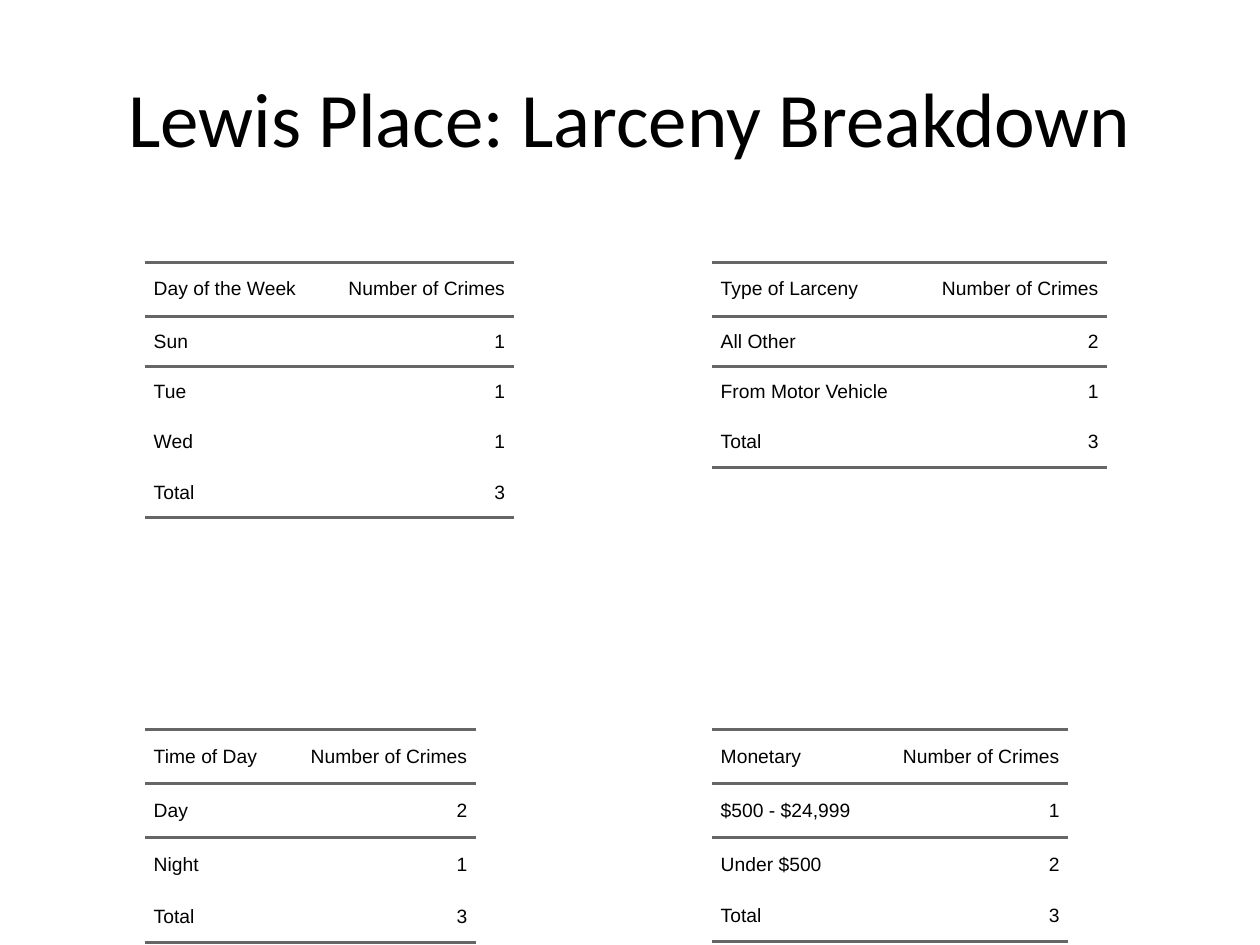
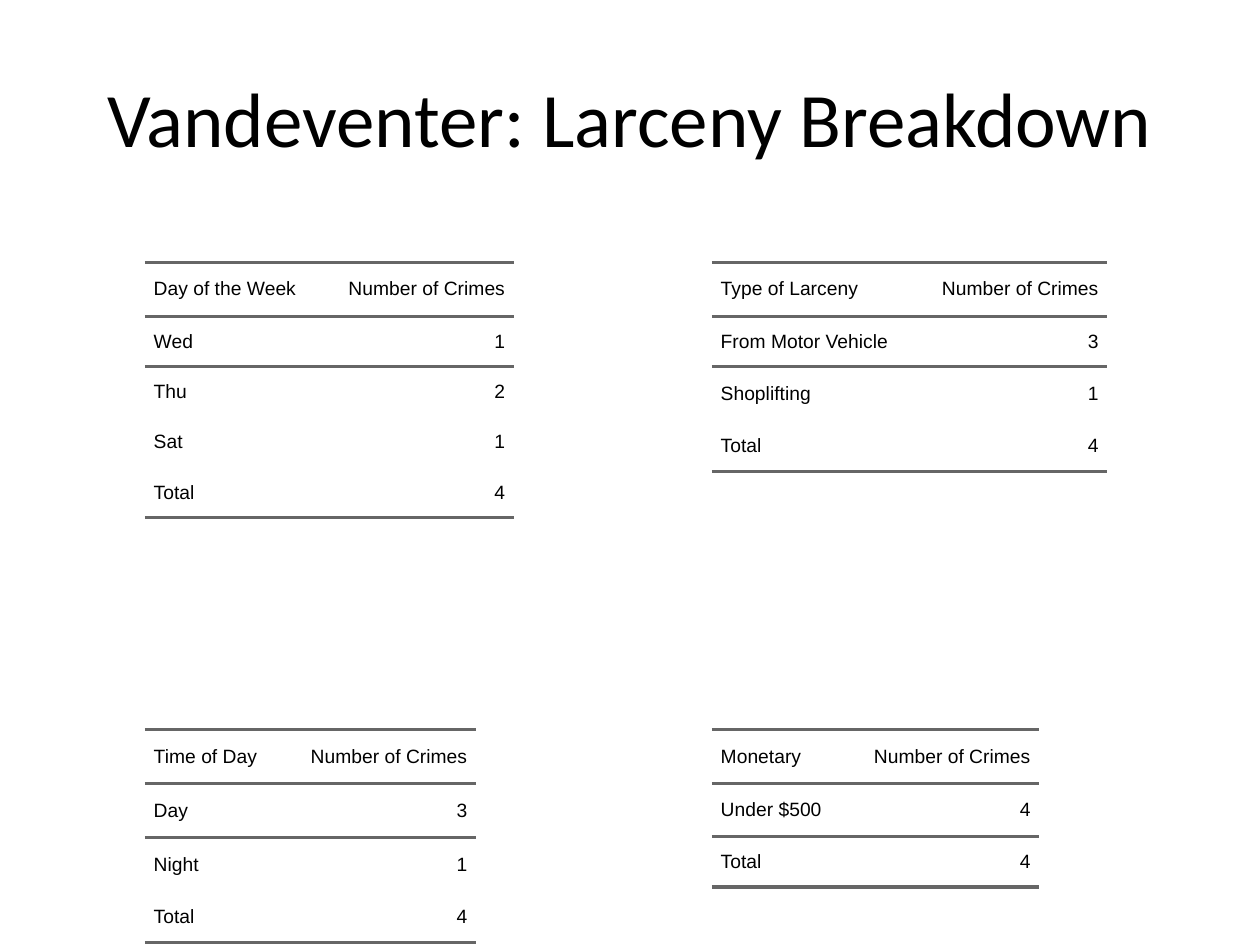
from lxml import etree
from pptx import Presentation
from pptx.dml.color import RGBColor
from pptx.enum import text
from pptx.oxml import ns
from pptx.util import Inches, Pt

BLACK, RULE = "000000", "666666"
TITLE_BOX = (0.5, 0.3, 9, 1.25)
LEFT, RIGHT = 1.15, 5.65
TOP, BOTTOM = 2.08, 5.79
HEADER_H, TOTAL_H = 0.43, 0.4
COUNT_W = 1.52
CELL_INDENT = 0.07
NO_STYLE = "{2D5ABB26-0587-4C30-8999-92F81FD0307C}"

LEWIS_PLACE = [
    (LEFT, TOP, 1.41, "Day of the Week", [("Sun", 1, 0.4), ("Tue", 1, 0.4), ("Wed", 1, 0.4)]),
    (LEFT, BOTTOM, 1.11, "Time of Day", [("Day", 2, 0.43), ("Night", 1, 0.43)]),
    (RIGHT, TOP, 1.62, "Type of Larceny", [("All Other", 2, 0.4), ("From Motor Vehicle", 1, 0.4)]),
    (RIGHT, BOTTOM, 1.31, "Monetary", [("$500 - $24,999", 1, 0.43), ("Under $500", 2, 0.42)]),
]
VANDEVENTER = [
    (LEFT, TOP, 1.41, "Day of the Week", [("Wed", 1, 0.4), ("Thu", 2, 0.4), ("Sat", 1, 0.4)]),
    (LEFT, BOTTOM, 1.11, "Time of Day", [("Day", 3, 0.43), ("Night", 1, 0.43)]),
    (RIGHT, TOP, 1.62, "Type of Larceny", [("From Motor Vehicle", 3, 0.4), ("Shoplifting", 1, 0.43)]),
    (RIGHT, BOTTOM, 1.08, "Monetary", [("Under $500", 4, 0.42)]),
]


def rgb(color):
    return RGBColor.from_string(color)


def style_font(p, name, size):
    p.font.name = name
    p.font.size = Pt(size)
    p.font.color.rgb = rgb(BLACK)


def add_title(s, box, title):
    tf = s.shapes.add_textbox(*map(Inches, box)).text_frame
    tf.word_wrap = True
    tf.vertical_anchor = text.MSO_ANCHOR.MIDDLE
    p = tf.paragraphs[0]
    p.text = title
    p.alignment = text.PP_ALIGN.CENTER
    style_font(p, "Calibri", 44)


def add_border(cell, side):
    ln = etree.SubElement(cell._tc.get_or_add_tcPr(), ns.qn(f"a:{side}"), w=str(Pt(2)))
    fill = etree.SubElement(ln, ns.qn("a:solidFill"))
    etree.SubElement(fill, ns.qn("a:srgbClr"), val=RULE)


def fill_cell(cell, value, align, sides):
    cell.margin_left = cell.margin_right = cell.margin_top = cell.margin_bottom = 0
    cell.vertical_anchor = text.MSO_ANCHOR.MIDDLE
    for side in sides:
        add_border(cell, side)
    cell.fill.background()
    p = cell.text_frame.paragraphs[0]
    p.text = str(value)
    p.alignment = align
    p.space_before = p.space_after = Pt(5)
    pPr = p._p.get_or_add_pPr()
    for name in ("marL", "marR"):
        pPr.set(name, str(Inches(CELL_INDENT)))
    pPr.set("indent", "0")
    style_font(p, "Arial", 11)


def add_crime_table(s, left, top, label_w, heading, counts):
    total = sum(count for _, count, _ in counts)
    rows = [(heading, "Number of Crimes", HEADER_H), *counts, ("Total", total, TOTAL_H)]
    height = sum(h for _, _, h in rows)
    box = (left, top, label_w + COUNT_W, height)
    table = s.shapes.add_table(len(rows), 2, *map(Inches, box)).table
    table.first_row = table.horz_banding = False
    table._tbl.tblPr.find(ns.qn("a:tableStyleId")).text = NO_STYLE
    for col, width in zip(table.columns, (label_w, COUNT_W)):
        col.width = Inches(width)
    borders = {0: ("lnT", "lnB"), 1: ("lnT",), len(rows) - 1: ("lnB",)}
    for i, (label, count, h) in enumerate(rows):
        table.rows[i].height = Inches(h)
        sides = borders.get(i, ())
        fill_cell(table.cell(i, 0), label, text.PP_ALIGN.LEFT, sides)
        fill_cell(table.cell(i, 1), count, text.PP_ALIGN.RIGHT, sides)


def add_breakdown_slide(prs, area, tables):
    s = prs.slides.add_slide(prs.slide_layouts[6])
    add_title(s, TITLE_BOX, f"{area}: Larceny Breakdown")
    for table in tables:
        add_crime_table(s, *table)


def main():
    prs = Presentation()
    prs.slide_width, prs.slide_height = Inches(10), Inches(7.5)
    add_breakdown_slide(prs, "Lewis Place", LEWIS_PLACE)
    add_breakdown_slide(prs, "Vandeventer", VANDEVENTER)
    prs.save("out.pptx")


if __name__ == "__main__":
    main()
